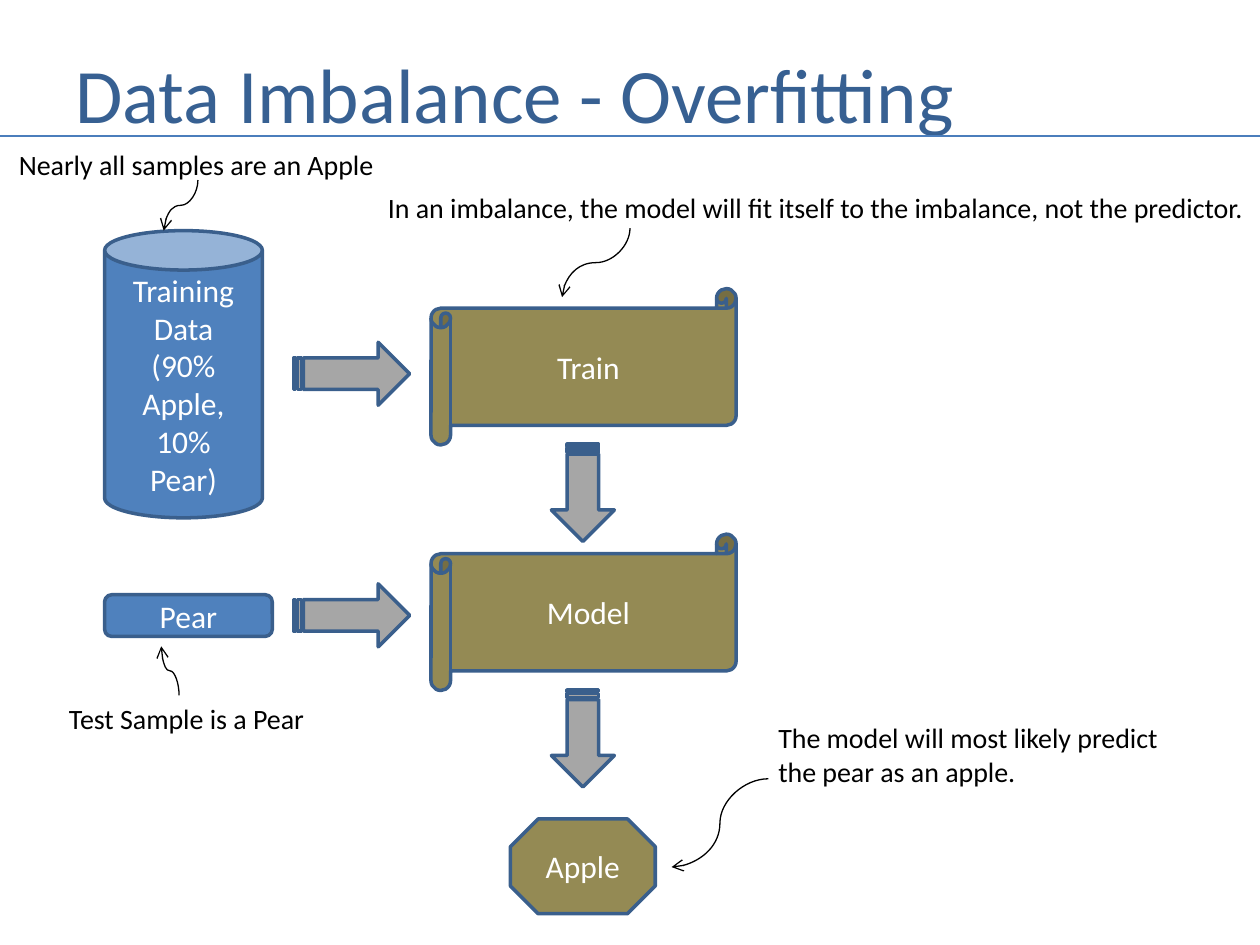
from dataclasses import dataclass

from lxml import etree
from pptx import Presentation
from pptx.dml.color import RGBColor
from pptx.enum.shapes import MSO_CONNECTOR, MSO_SHAPE
from pptx.enum.text import MSO_ANCHOR, MSO_AUTO_SIZE, PP_ALIGN
from pptx.oxml.ns import qn
from pptx.util import Cm, Pt

CAN = MSO_SHAPE.CAN
SCROLL = MSO_SHAPE.HORIZONTAL_SCROLL
ROUNDED = MSO_SHAPE.ROUNDED_RECTANGLE
OCTAGON = MSO_SHAPE.OCTAGON
ARROW = MSO_SHAPE.STRIPED_RIGHT_ARROW
STRAIGHT, CURVE = MSO_CONNECTOR.STRAIGHT, MSO_CONNECTOR.CURVE
LEFT, CENTER = PP_ALIGN.LEFT, PP_ALIGN.CENTER
MIDDLE, TOP = MSO_ANCHOR.MIDDLE, MSO_ANCHOR.TOP

BLUE, KHAKI, GREY = "4F81BD", "948A54", "A6A6A6"
OUTLINE, WHITE, BLACK = "3A5F8C", "FFFFFF", "000000"


@dataclass
class Block:
    kind: int
    left: float
    top: float
    width: float
    height: float
    fill: str
    lines: tuple[str, ...] = ()
    rotation: int = 0


@dataclass
class Label:
    left: float
    top: float
    width: float
    height: float
    lines: tuple[str, ...]


@dataclass
class Pointer:
    start: tuple[float, float]
    end: tuple[float, float]
    vertical: bool = True


# Sizes and positions in centimetres
BLOCKS = [
    Block(CAN, 2.11, 4.65, 3.18, 5.79, BLUE, ("Training\nData", "(90% Apple,", "10%\nPear)")),
    Block(ROUNDED, 2.11, 11.99, 3.38, 0.84, BLUE, ("Pear",)),
    Block(OCTAGON, 10.29, 16.51, 2.92, 1.91, KHAKI, ("Apple",)),
]
STAGE_TOP, STAGE_STEP = 5.82, 4.95
for index, stage in enumerate(("Train", "Model")):
    top = STAGE_TOP + index * STAGE_STEP
    BLOCKS += [
        Block(SCROLL, 8.69, top, 6.15, 3.15, KHAKI, (stage,)),
        Block(ARROW, 5.92, top + 1.0 - 0.1 * (1 - index) + 0.18 - 0.18 * index,
              2.34, 1.27, GREY),
        Block(ARROW, 10.77, top + 3.48, 1.96, 1.27, GREY, rotation=90),
    ]

LABELS = [
    Label(7.57, 3.71, 17.83, 0.94,
          ("In an imbalance, the model will fit itself to the imbalance, not the predictor.",)),
    Label(0.13, 2.84, 7.75, 0.94, ("Nearly all samples are an Apple",)),
    Label(1.14, 14.02, 5.31, 0.94, ("Test Sample is a Pear",)),
    Label(15.44, 14.4, 8.26, 1.63,
          ("The model will most likely predict", "the pear as an apple.")),
]

POINTERS = [
    Pointer((12.7, 4.6), (11.33, 5.99)),
    Pointer((3.99, 3.63), (3.3, 4.65)),
    Pointer((3.61, 14.02), (3.25, 13.03)),
    Pointer((15.49, 15.7), (13.54, 17.48), vertical=False),
]


def color(value: str) -> RGBColor:
    return RGBColor.from_string(value)


def write(box, lines: tuple[str, ...], size: int, ink: str, align=LEFT, anchor=TOP) -> None:
    frame = box.text_frame
    frame.vertical_anchor = anchor
    text_format = {"name": "Calibri", "size": Pt(size)}
    for number, line in enumerate(lines):
        para = frame.add_paragraph() if number else frame.paragraphs[0]
        para.text = line
        para.alignment = align
        for span in para.runs:
            for name, value in text_format.items():
                setattr(span.font, name, value)
            span.font.color.rgb = color(ink)


def draw_block(page, block: Block) -> None:
    box = page.shapes.add_shape(block.kind, Cm(block.left), Cm(block.top),
                                Cm(block.width), Cm(block.height))
    box.rotation = block.rotation
    box.shadow.inherit = False
    box.fill.solid()
    box.fill.fore_color.rgb = color(block.fill)
    box.line.color.rgb = color(OUTLINE)
    box.line.width = Pt(2)
    write(box, block.lines, 18, WHITE, CENTER, MIDDLE)


def draw_label(page, label: Label) -> None:
    box = page.shapes.add_textbox(Cm(label.left), Cm(label.top),
                                  Cm(label.width), Cm(label.height))
    box.text_frame.word_wrap = False
    box.text_frame.auto_size = MSO_AUTO_SIZE.SHAPE_TO_FIT_TEXT
    write(box, label.lines, 16, BLACK)


def draw_line(page, kind: int, start: tuple[float, float], end: tuple[float, float],
              ink: str, weight: float):
    line = page.shapes.add_connector(kind, Cm(start[0]), Cm(start[1]), Cm(end[0]), Cm(end[1]))
    line.line.color.rgb = color(ink)
    line.line.width = Pt(weight)
    etree.SubElement(line._element.spPr, qn("a:effectLst"))
    return line


def draw_pointer(page, pointer: Pointer) -> None:
    (x1, y1), (x2, y2) = pointer.start, pointer.end
    start, end, turn = pointer.start, pointer.end, 0
    if pointer.vertical:
        # A curve leaving vertically is a horizontal one turned about its centre
        center_x, center_y = (x1 + x2) / 2, (y1 + y2) / 2
        half_run, half_rise = abs(y2 - y1) / 2, (x1 - x2) / 2
        turn = 90 if y2 > y1 else 270
        if turn == 270:
            half_rise = -half_rise
        start = (center_x - half_run, center_y - half_rise)
        end = (center_x + half_run, center_y + half_rise)
    line = draw_line(page, CURVE, start, end, BLACK, 0.75)
    if turn:
        line._element.spPr.find(qn("a:xfrm")).set("rot", str(turn * 60000))
    etree.SubElement(line.line._get_or_add_ln(), qn("a:tailEnd"), type="arrow")


def main() -> None:
    deck = Presentation()
    deck.slide_width, deck.slide_height = Cm(25.4), Cm(19.05)
    page = deck.slides.add_slide(deck.slide_layouts[6])

    # Title and rule
    title = page.shapes.add_textbox(Cm(1.27), Cm(0.76), Cm(23.06), Cm(2.21))
    title.text_frame.word_wrap = True
    write(title, ("Data Imbalance - Overfitting",), 44, "376092", anchor=MIDDLE)
    draw_line(page, STRAIGHT, (0, 2.74), (25.4, 2.74), "4B7EBC", 1.5)

    # Flow, remarks and their pointers
    for block in BLOCKS:
        draw_block(page, block)
    for label in LABELS:
        draw_label(page, label)
    for pointer in POINTERS:
        draw_pointer(page, pointer)

    deck.save("out.pptx")


if __name__ == "__main__":
    main()
